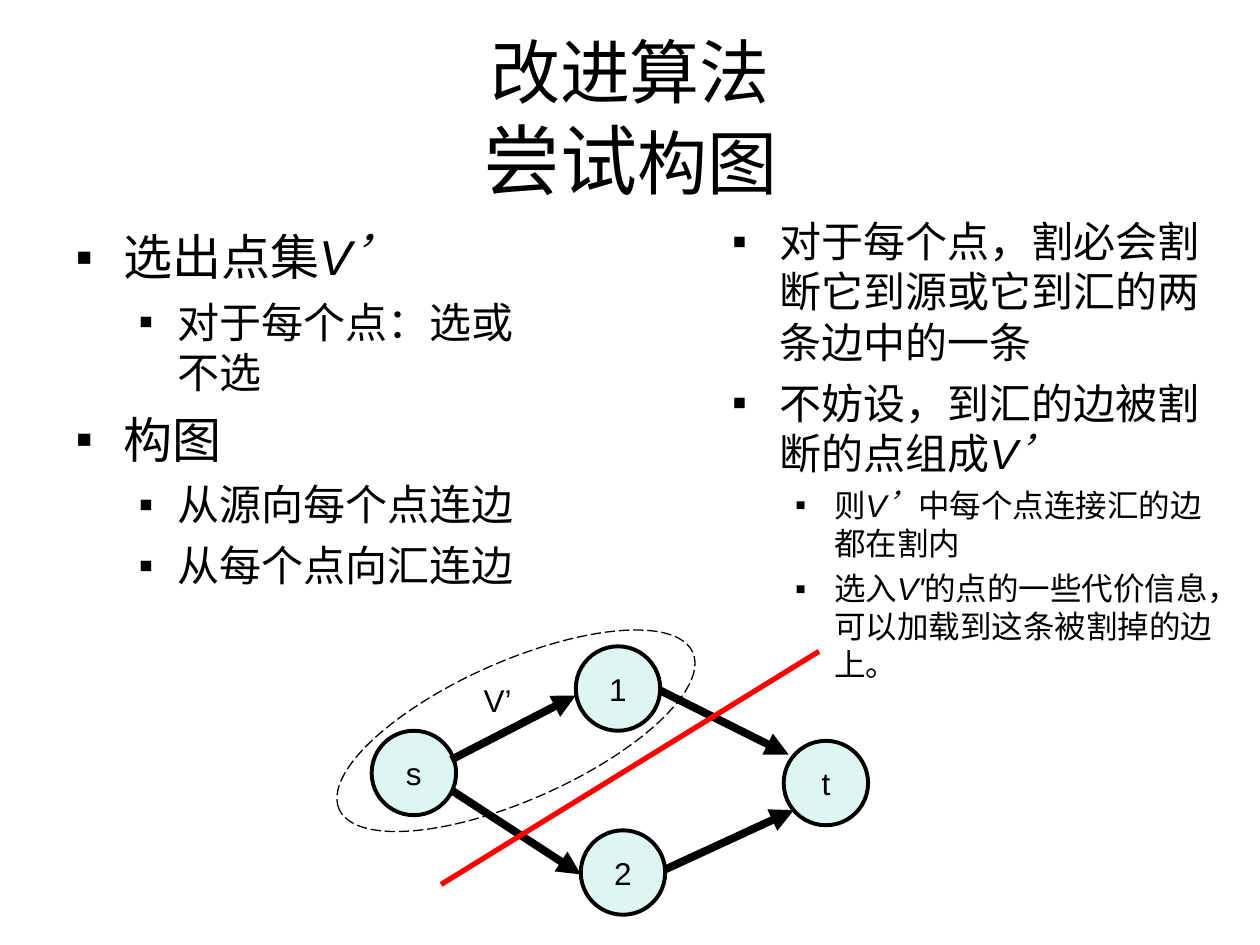
from lxml import etree
from pptx import Presentation
from pptx.dml import color
from pptx.enum import dml, shapes, text
from pptx.oxml import ns
from pptx.util import Pt

PX = 9144
BLACK, MINT, RED = "000000", "DEF6F1", "FF0000"


def rgb(code):
    return color.RGBColor.from_string(code)


def emu(*px):
    return [n * PX for n in px]


def node(base, tag, **attrs):
    return etree.SubElement(base, ns.qn(tag), attrs)


class Board:
    """Holds the style and the current slide."""

    font = "Arial"

    def __init__(self, deck):
        self.slide = deck.slides.add_slide(deck.slide_layouts[3])
        self.items = self.slide.shapes

    def place(self, shape, box):
        shape.left, shape.top, shape.width, shape.height = emu(*box)

    def style(self, run, size, slant=False):
        run.font.name, run.font.size = self.font, Pt(size)
        run.font.italic = slant
        run.font.color.rgb = rgb(BLACK)

    def title(self, box, first, *parts):
        head = self.items.title
        self.place(head, box)
        para = head.text_frame.paragraphs[0]
        para.text = first + "\v"
        para.alignment = text.PP_ALIGN.CENTER
        self.style(para.runs[0], 40)
        for words, size in parts:
            run = para.add_run()
            run.text = words
            self.style(run, size)

    def list(self, slot, box, rows):
        body = self.slide.placeholders[slot]
        self.place(body, box)
        frame = body.text_frame
        frame.auto_size = text.MSO_AUTO_SIZE.NONE
        for i, (level, size, words) in enumerate(rows):
            para = frame.add_paragraph() if i else frame.paragraphs[0]
            para.level = level
            para.space_before = Pt(size / 4)
            self.bullet(para, *((81, 31) if level else (38, 38)))
            for k, part in enumerate(words.split("*")):
                run = para.add_run()
                run.text = part
                self.style(run, size, k % 2 == 1)

    def bullet(self, para, left, hang):
        props = para._p.get_or_add_pPr()
        props.set("marL", str(left * PX))
        props.set("indent", str(-hang * PX))
        node(node(props, "a:buClr"), "a:srgbClr", val=BLACK)
        node(props, "a:buFont", typeface=self.font)
        node(props, "a:buChar", char="▪")

    def label(self, shape, words):
        frame = shape.text_frame
        frame.text = words
        frame.word_wrap = False
        para = frame.paragraphs[0]
        para.alignment = text.PP_ALIGN.CENTER
        self.style(para.runs[0], 18)

    def note(self, box, words):
        self.label(self.items.add_textbox(*emu(*box)), words)

    def oval(self, box, width):
        shape = self.items.add_shape(shapes.MSO_SHAPE.OVAL, *emu(*box))
        shape.shadow.inherit = False
        shape.line.color.rgb = rgb(BLACK)
        shape.line.width = Pt(width)
        return shape

    def vertex(self, left, top, name):
        shape = self.oval((left, top, 67, 67), 2.25)
        shape.fill.solid()
        shape.fill.fore_color.rgb = rgb(MINT)
        shape.text_frame.vertical_anchor = text.MSO_ANCHOR.MIDDLE
        self.label(shape, name)

    def group(self, box, turn):
        shape = self.oval(box, 0.75)
        shape.fill.background()
        shape.line.dash_style = dml.MSO_LINE.LONG_DASH
        shape.rotation = turn

    def line(self, ends, tint, width, arrow=False):
        link = self.items.add_connector(shapes.MSO_CONNECTOR.STRAIGHT, *emu(*ends))
        link.line.color.rgb = rgb(tint)
        link.line.width = Pt(width)
        if arrow:
            node(link.line._get_or_add_ln(), "a:tailEnd", type="triangle")
        node(link._element.spPr, "a:effectLst")


def main():
    deck = Presentation()
    deck.slide_width, deck.slide_height = emu(1000, 750)
    board = Board(deck)
    board.title((50, 30, 900, 125), "改进算法", ("尝试", 44), ("构图", 40))
    board.list(1, (50, 175, 387, 377), [
        (0, 28, "选出点集*V’"),
        (1, 24, "对于每个点：选或不选"),
        (0, 28, "构图"),
        (1, 24, "从源向每个点连边"),
        (1, 24, "从每个点向汇连边"),
    ])
    board.list(2, (571, 166, 414, 437), [
        (0, 24, "对于每个点，割必会割断它到源或它到汇的两条边中的一条"),
        (0, 24, "不妨设，到汇的边被割断的点组成*V’"),
        (1, 18, "则*V’*中每个点连接汇的边都在割内"),
        (1, 18, "选入*V'*的点的一些代价信息，可以加载到这条被割掉的边上。"),
    ])
    for left, top, name in [(457, 513, "1"), (461, 659, "2"),
                            (295, 580, "s"), (622, 588, "t")]:
        board.vertex(left, top, name)
    for ends in [(524, 548, 626, 599), (358, 627, 461, 694),
                 (528, 690, 630, 643), (358, 603, 457, 552)]:
        board.line(ends, BLACK, 4.5, arrow=True)
    board.line((350, 702, 650, 517), RED, 3)
    board.group((256, 525, 307, 110), 336.1)
    board.note((374, 536, 42, 40), "V’")
    deck.save("out.pptx")


if __name__ == "__main__":
    main()
